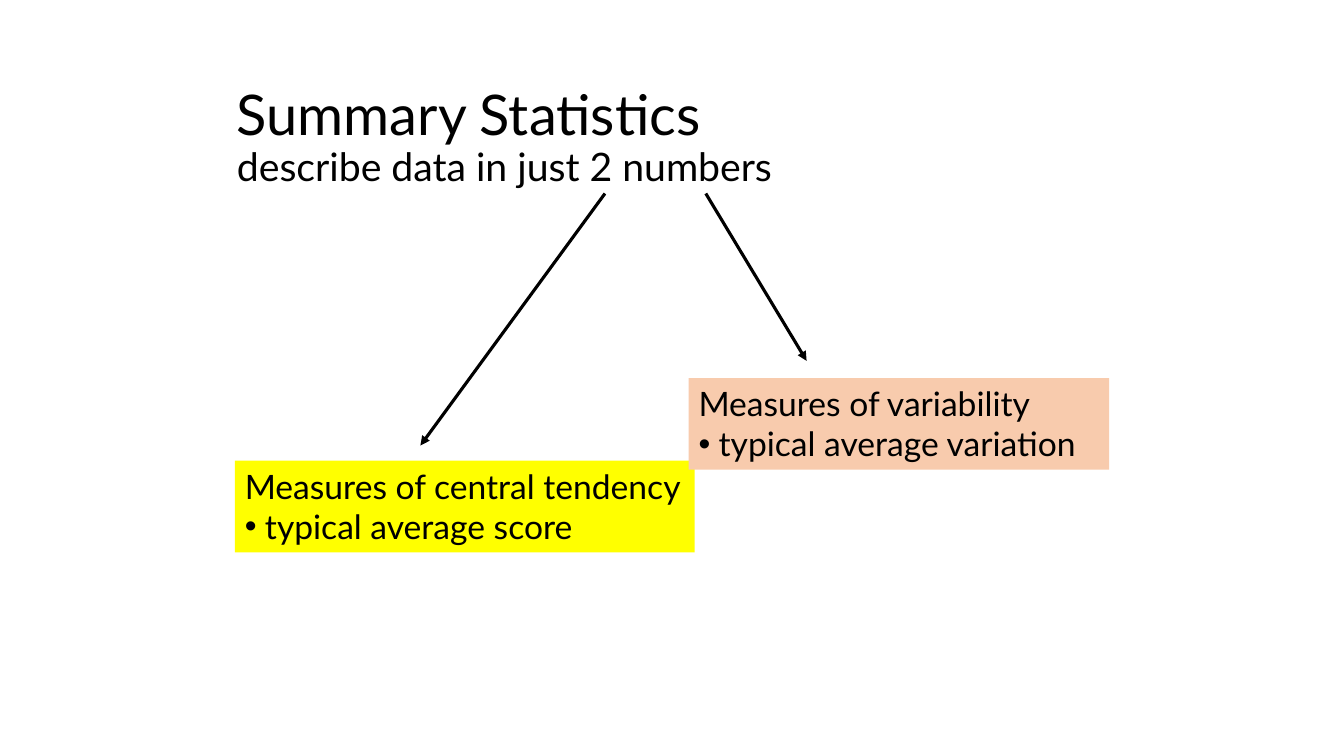
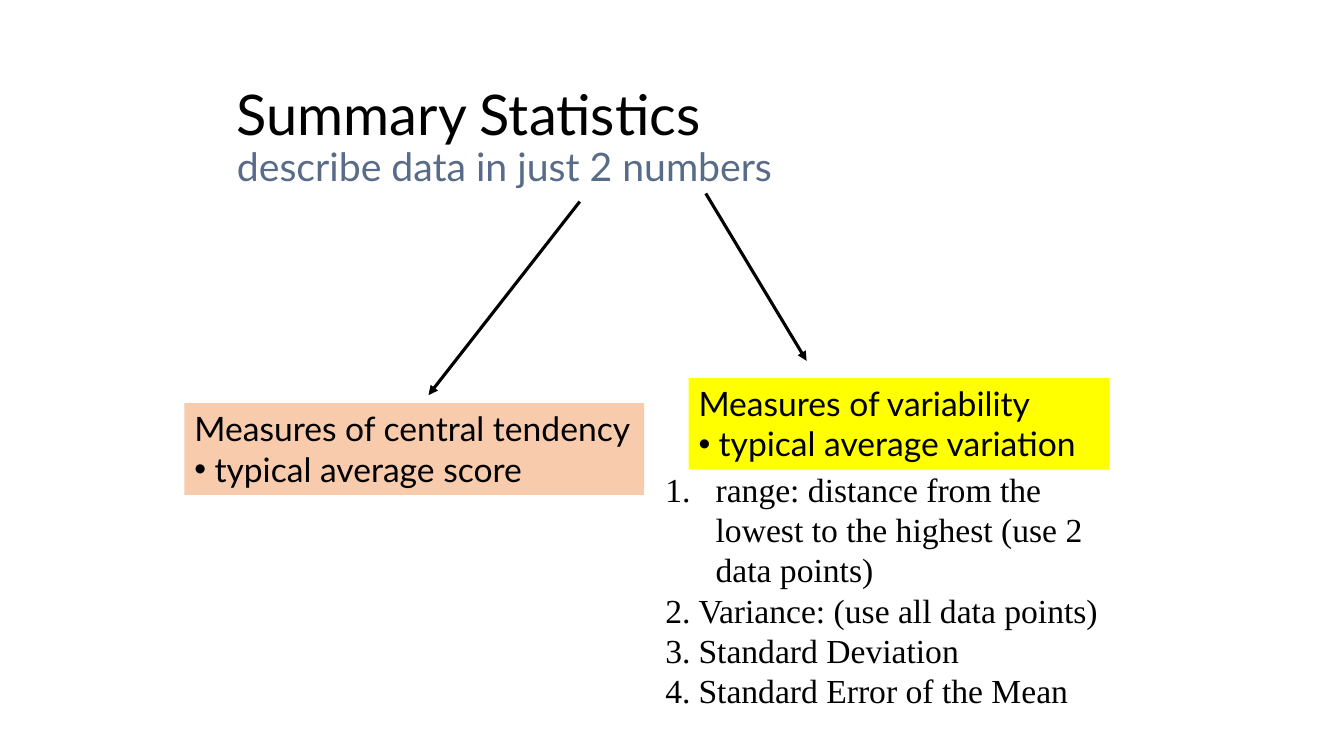
from lxml.etree import SubElement
from pptx import Presentation
from pptx.dml.color import RGBColor
from pptx.enum.shapes import MSO_CONNECTOR
from pptx.enum.text import MSO_ANCHOR, MSO_AUTO_SIZE, PP_ALIGN
from pptx.oxml.ns import qn
from pptx.util import Inches, Pt

BLACK = RGBColor(0x00, 0x00, 0x00)
SLATE = RGBColor(0x58, 0x6C, 0x89)
YELLOW = RGBColor(0xFF, 0xFF, 0x00)
PEACH = RGBColor(0xF8, 0xCB, 0xAD)
SANS = "Lato"
SERIF = "Times New Roman"
TITLE_ONLY = 5

CENTRAL = ("Measures of central tendency", "typical average score")
VARIABILITY = ("Measures of variability", "typical average variation")
VARIABILITY_BOX = (6.83, 3.75, 4.17, 0.91)
VARIABILITY_ARROW = ((7, 1.92), (8, 3.58))
MEASURES = [
    ("range: distance from the lowest to the highest (use 2 data points)", 0.5),
    ("Variance: (use all data points)", 0.33),
    ("Standard Deviation", 0.33),
    ("Standard Error of the Mean", 0.33),
]


def add_span(para, text, size=24, font=SANS, color=BLACK):
    span = para.add_run()
    span.text = text
    span.font.size = Pt(size)
    span.font.name = font
    span.font.color.rgb = color


def set_marker(para, hang, tag, **attributes):
    properties = para._p.get_or_add_pPr()
    properties.set("marL", str(Inches(hang)))
    properties.set("indent", str(-Inches(hang)))
    if tag == "a:buChar":
        SubElement(properties, qn("a:buFont"), typeface="Arial")
    SubElement(properties, qn(tag), **attributes)


def add_frame(page, box):
    panel = page.shapes.add_textbox(*(Inches(length) for length in box))
    panel.text_frame.word_wrap = True
    return panel


def add_title(page, box, subtitle_color):
    title = page.shapes.title
    title.left, title.top, title.width, title.height = (Inches(length) for length in box)
    frame = title.text_frame
    frame.auto_size = MSO_AUTO_SIZE.NONE
    frame.vertical_anchor = MSO_ANCHOR.MIDDLE
    para = frame.paragraphs[0]
    para.alignment = PP_ALIGN.LEFT
    para.line_spacing = 0.9
    add_span(para, "Summary Statistics", 40)
    para.add_line_break()
    add_span(para, "describe data in just 2 numbers", 28, color=subtitle_color)


def add_arrow(page, start, end):
    points = (Inches(length) for length in (*start, *end))
    arrow = page.shapes.add_connector(MSO_CONNECTOR.STRAIGHT, *points)
    arrow.line.color.rgb = BLACK
    arrow.line.width = Pt(2.25)
    SubElement(arrow.line._get_or_add_ln(), qn("a:tailEnd"), type="triangle")
    SubElement(arrow._element.spPr, qn("a:effectLst"))


def add_measure_panel(page, box, wording, color):
    panel = add_frame(page, box)
    panel.fill.solid()
    panel.fill.fore_color.rgb = color
    heading, detail = wording
    add_span(panel.text_frame.paragraphs[0], heading)
    para = panel.text_frame.add_paragraph()
    set_marker(para, 0.2, "a:buChar", char="•")
    add_span(para, detail)


def add_numbered_list(page, box, items):
    frame = add_frame(page, box).text_frame
    for number, (text, hang) in enumerate(items, 1):
        para = frame.paragraphs[0] if number == 1 else frame.add_paragraph()
        set_marker(para, hang, "a:buAutoNum", type="arabicPeriod", startAt=str(number))
        add_span(para, text, font=SERIF)


def add_summary_page(deck, subtitle_color, central_arrow, central_box, central_color, variability_color):
    page = deck.slides.add_slide(deck.slide_layouts[TITLE_ONLY])
    add_title(page, (2.25, 0.75, 8.5, 1.25), subtitle_color)
    add_arrow(page, *central_arrow)
    add_arrow(page, *VARIABILITY_ARROW)
    add_measure_panel(page, central_box, CENTRAL, central_color)
    add_measure_panel(page, VARIABILITY_BOX, VARIABILITY, variability_color)
    return page


def main():
    deck = Presentation()
    deck.slide_width = Inches(13.33)
    deck.slide_height = Inches(7.5)
    add_summary_page(deck, BLACK, ((6, 1.92), (4.17, 4.42)), (2.33, 4.57, 4.56, 0.91), YELLOW, PEACH)
    page = add_summary_page(deck, SLATE, ((5.75, 2), (4.25, 3.92)), (1.83, 4, 4.56, 0.91), PEACH, YELLOW)
    add_numbered_list(page, (6.5, 4.6, 4.83, 2.52), MEASURES)
    deck.save("out.pptx")


if __name__ == "__main__":
    main()
